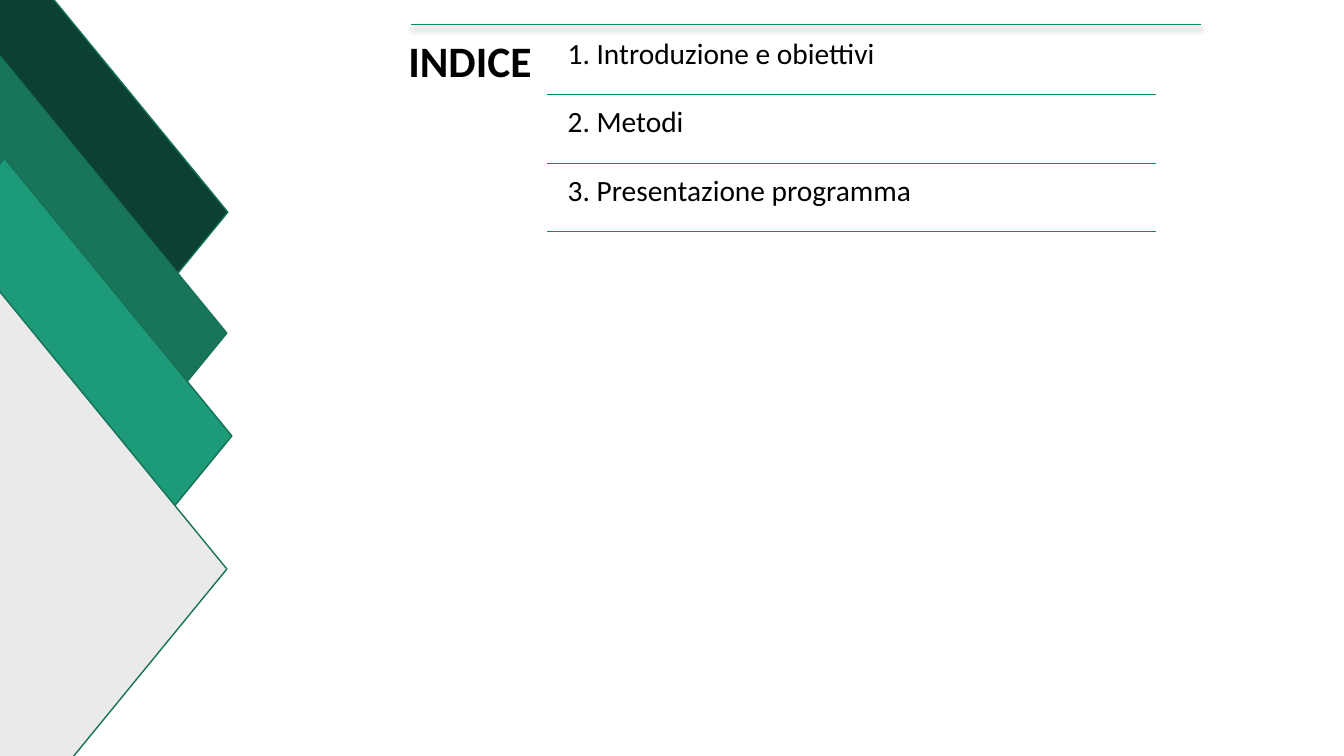
"""Build the index slide: green diamonds on the left, a ruled list on the right."""
from lxml.etree import SubElement
from pptx import Presentation
from pptx.dml.color import RGBColor
from pptx.enum.shapes import MSO_CONNECTOR as Link, MSO_SHAPE as Shape
from pptx.enum.text import MSO_ANCHOR as Anchor, MSO_AUTO_SIZE as Fit, PP_ALIGN as Align
from pptx.oxml.ns import qn
from pptx.util import Emu, Pt

SCALE = 9144
BLACK = RGBColor(0x00, 0x00, 0x00)
RULE = RGBColor(0x00, 0x8D, 0x67)
EDGE = RGBColor(0x15, 0x72, 0x59)
DARK = RGBColor(0x0C, 0x40, 0x32)
MID = RGBColor(0x19, 0x75, 0x5A)
LIGHT = RGBColor(0x1D, 0x9A, 0x78)
GREY = RGBColor(0xEA, 0xEA, 0xEA)
ITEMS = ["Introduzione e obiettivi", "Metodi", "Presentazione programma"]
GEMS = [(1, 0, DARK), (0, 120, MID), (5, 222, LIGHT), (0, 354, GREY)]


def px(n):
    return Emu(n * SCALE)


def fill_text(holder, box, lines, size, inset, gap=0, bold=False):
    """Place a placeholder in its box and write plain lines into it."""
    holder.left, holder.top, holder.width, holder.height = map(px, box)
    frame = holder.text_frame
    frame.text = "\n".join(lines)
    frame.word_wrap = True
    frame.auto_size = Fit.NONE
    frame.vertical_anchor = Anchor.TOP
    frame.margin_left = frame.margin_right = px(inset)
    frame.margin_top = frame.margin_bottom = px(inset)
    for para in frame.paragraphs:
        para.alignment = Align.LEFT
        para.line_spacing = 0.9
        para.space_before = Pt(0)
        para.space_after = Pt(gap)
        font = para.font
        font.name, font.size, font.bold = "Calibri", Pt(size), bold
        font.color.rgb = BLACK
        props = para._p.get_or_add_pPr()
        props.set("marL", "0")
        props.set("indent", "0")
        props.insert_element_before(
            props.makeelement(qn("a:buNone"), {}), "a:tabLst", "a:defRPr", "a:extLst")


def add_rule(slide, x, y, width, shade=False):
    """Draw a thin level line, with a soft shadow below it if asked."""
    line = slide.shapes.add_connector(Link.STRAIGHT, px(x), px(y), px(x + width), px(y))
    line.line.color.rgb = RULE
    line.line.width = Pt(0.5)
    effect = SubElement(line._element.spPr, qn("a:effectLst"))
    if shade:
        cast = SubElement(effect, qn("a:outerShdw"), blurRad=str(Pt(4)),
                          dist=str(Pt(3)), dir="5400000", rotWithShape="0")
        tint = SubElement(cast, qn("a:srgbClr"), val="000000")
        SubElement(tint, qn("a:alpha"), val="40000")


def add_index(slide, x, y, width):
    """Set the heading and the numbered list, with a rule under each item."""
    title, body = slide.placeholders
    fill_text(title, (x, y, 151, 611), ["INDICE"], 31, 13, bold=True)
    lines = [f"{n}. {item}" for n, item in enumerate(ITEMS, 1)]
    fill_text(body, (x + 162, y + 3, 593, 200), lines, 21, 9, gap=26)
    for row in range(len(ITEMS)):
        add_rule(slide, x + 151, y + 67 + 68 * row, 604)
    add_rule(slide, x + 16, y - 3, width, shade=True)


def add_gems(slide, x, y):
    """Stack the diamonds that run off the left edge."""
    for dx, dy, color in GEMS:
        gem = slide.shapes.add_shape(
            Shape.FLOWCHART_DECISION, px(x + dx), px(y + dy), px(451), px(551))
        gem.shadow.inherit = False
        gem.fill.solid()
        gem.fill.fore_color.rgb = color
        gem.line.color.rgb = EDGE
        gem.line.width = Pt(1)


def main():
    deck = Presentation()
    deck.slide_width, deck.slide_height = px(1333), px(750)
    slide = deck.slides.add_slide(deck.slide_layouts[1])
    add_index(slide, 392, 27, 783)
    add_gems(slide, -226, -65)
    deck.save("out.pptx")


if __name__ == "__main__":
    main()
